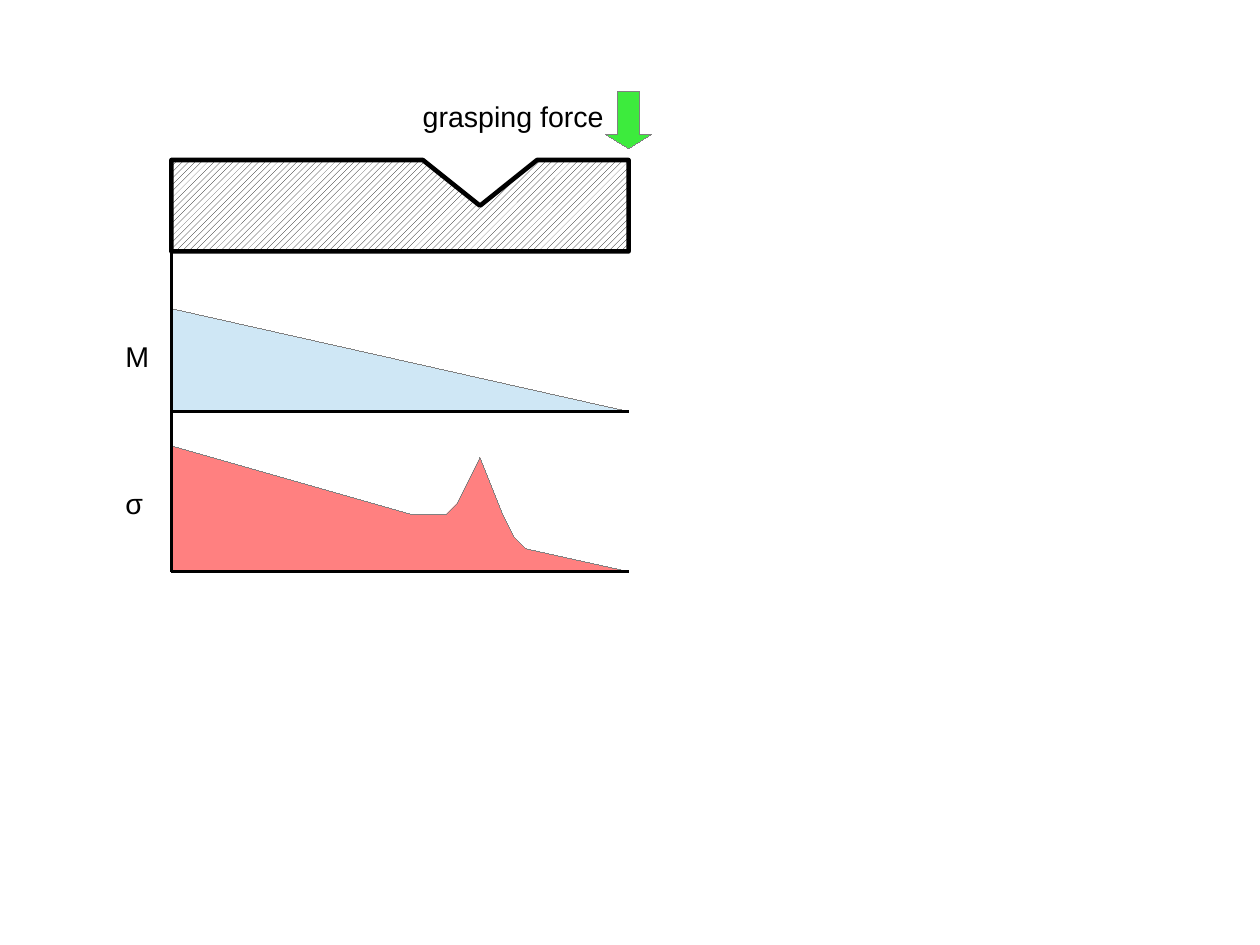
from pptx import Presentation
from pptx.dml.color import RGBColor
from pptx.enum import dml, shapes
from pptx.oxml import ns
from pptx.util import Pt
from lxml import etree

PX = 9144  # 100 px to the inch
BLACK = RGBColor(0, 0, 0)
WHITE = RGBColor(255, 255, 255)
GRAY = RGBColor(0x80, 0x80, 0x80)
BLUE = RGBColor(0xCF, 0xE7, 0xF5)
RED = RGBColor(0xFF, 0x80, 0x80)
GREEN = RGBColor(0x3D, 0xEB, 0x3D)
HAIR = 0.01  # thinnest line, in points

LEFT, RIGHT = 150, 550
TOP, BASE = 140, 220
ZERO_M, ZERO_S = 360, 500

prs = Presentation()
prs.slide_width, prs.slide_height = 10080625, 7559675  # 28 by 21 cm page
slide = prs.slides.add_slide(prs.slide_layouts[6])
items = slide.shapes


def outline(points, color, width):
    """Add a closed polygon with the given line, leaving its fill open."""
    path = items.build_freeform(*points[0], scale=PX)
    path.add_line_segments(points[1:], close=True)
    shape = path.convert_to_shape()
    shape.shadow.inherit = False
    shape.line.color.rgb = color
    shape.line.width = Pt(width)
    return shape


stress = [(RIGHT, ZERO_S), (460, 480), (450, 470), (440, 450), (420, 400),
          (400, 440), (390, 450), (360, 450), (LEFT, 390), (LEFT, ZERO_S)]
moment = [(LEFT, ZERO_M), (RIGHT, ZERO_M), (LEFT, 270)]
for points, color in ((stress, RED), (moment, BLUE)):
    area = outline(points, GRAY, HAIR)
    area.fill.solid()
    area.fill.fore_color.rgb = color

beam = outline([(LEFT, TOP), (370, TOP), (420, 180), (470, TOP),
                (RIGHT, TOP), (RIGHT, BASE), (LEFT, BASE)], BLACK, 2.89)
beam.fill.patterned()
beam.fill.pattern = dml.MSO_PATTERN.WIDE_UPWARD_DIAGONAL
beam.fill.fore_color.rgb = BLACK
beam.fill.back_color.rgb = WHITE

for x, y, end_x, end_y in ((LEFT, TOP, LEFT, ZERO_S),
                           (LEFT, ZERO_M, RIGHT, ZERO_M),
                           (LEFT, ZERO_S, RIGHT, ZERO_S)):
    axis = items.add_connector(shapes.MSO_CONNECTOR.STRAIGHT,
                               x * PX, y * PX, end_x * PX, end_y * PX)
    axis.line.color.rgb = BLACK
    axis.line.width = Pt(1.45)
    etree.SubElement(axis._element.spPr, ns.qn("a:effectLst"))

force = items.add_shape(shapes.MSO_SHAPE.DOWN_ARROW,
                        530 * PX, 80 * PX, 40 * PX, 50 * PX)
force.adjustments[0] = 0.5
force.adjustments[1] = 0.31
force.shadow.inherit = False
force.fill.solid()
force.fill.fore_color.rgb = GREEN
force.line.color.rgb = GRAY
force.line.width = Pt(HAIR)

for label, x, y, width in (("grasping force", 360, 82, 230),
                           ("M", 100, 292, 90), ("σ", 100, 420, 90)):
    frame = items.add_textbox(x * PX, y * PX, width * PX, 38 * PX).text_frame
    frame.word_wrap = True
    frame.text = label
    font = frame.paragraphs[0].font
    font.name = "Arial"
    font.size = Pt(18)
    font.color.rgb = BLACK

prs.save("out.pptx")
